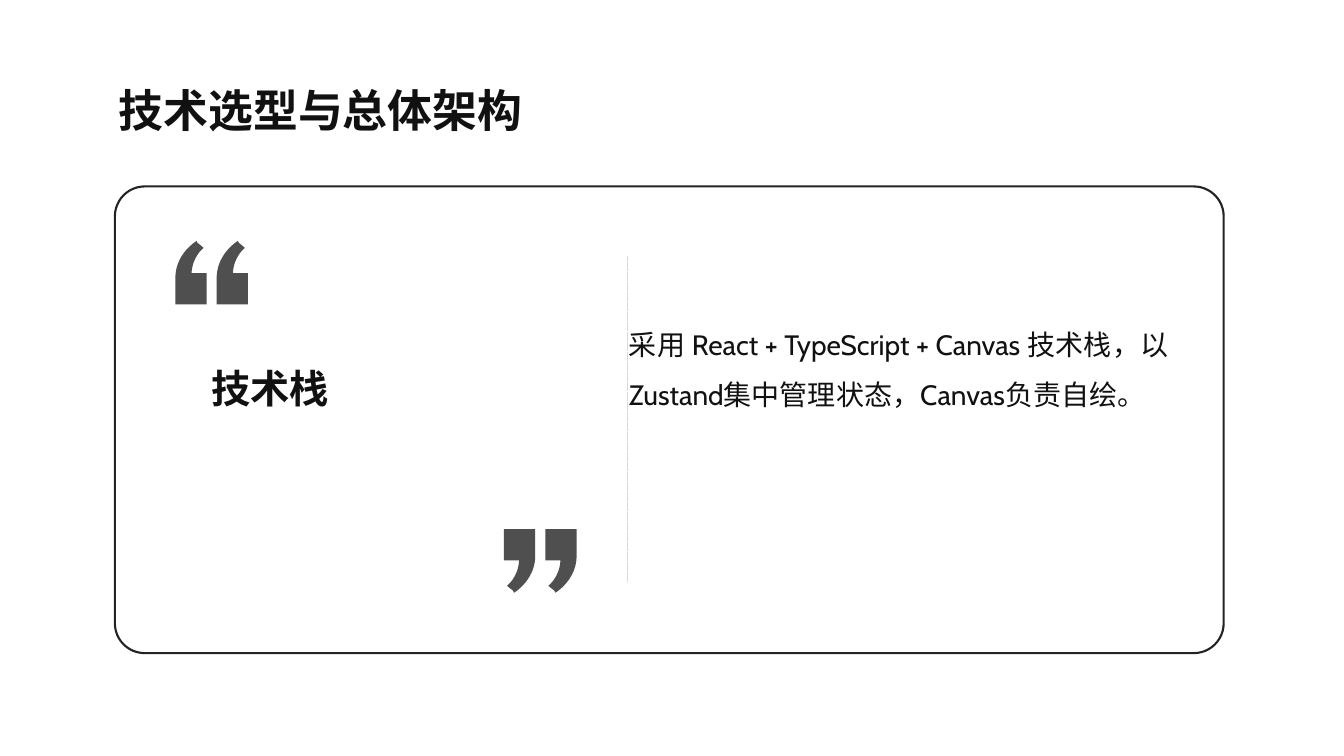
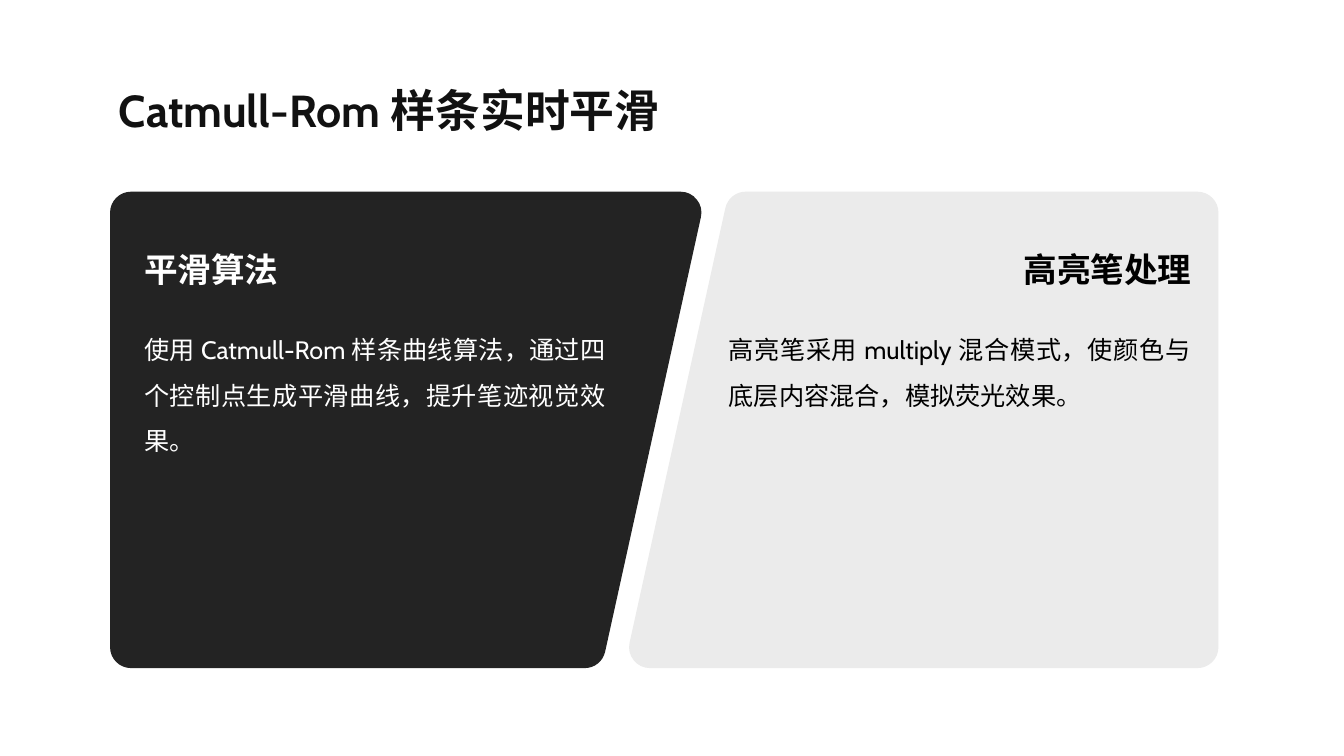
from lxml.etree import SubElement
from pptx import Presentation
from pptx.dml.color import RGBColor
from pptx.enum.dml import MSO_LINE
from pptx.enum.lang import MSO_LANGUAGE_ID as Language
from pptx.enum.shapes import MSO_CONNECTOR, MSO_SHAPE
from pptx.enum.text import MSO_ANCHOR as Anchor, MSO_AUTO_SIZE as AutoSize, PP_ALIGN as Align
from pptx.oxml.ns import qn
from pptx.util import Inches, Pt

COLORS = {
    "dark": "232323",
    "pale": "EBEBEB",
    "text": "111111",
    "white": "FFFFFF",
    "black": "000000",
    "divider": "D9D9D9",
}
FONT = "Cabin"
TITLE_BOX = (1.08, 0.77, 11.52, 0.54)
CARD_BOX = (1.14, 1.85, 11, 4.63)
PANEL_TOP, PANEL_HEIGHT = 2.11, 4.31
LEFT_PANEL = (1.3, PANEL_TOP, 5.45, PANEL_HEIGHT)
RIGHT_PANEL = (6.45, PANEL_TOP, 5.43, PANEL_HEIGHT)
SLANT = 0.95
QUOTE_STEP = 0.41
QUOTE_POINTS = [(0.21, 0), (0.22, 0.02), (0.27, 0.06), (0.28, 0.07), (0.16, 0.32),
                (0.31, 0.32), (0.31, 0.63), (0, 0.63), (0, 0.35), (0.21, 0)]
QUOTE_CURVES = {
    2: [(0.24, 0.03), (0.25, 0.05)],
    4: [(0.28, 0.07), (0.17, 0.15)],
    9: [(0.01, 0.12), (0.21, 0)],
}


def color(name):
    """Return the named colour."""
    return RGBColor.from_string(COLORS[name])


def add_text(slide, text, box, size=18, fill="text", bold=False, align=Align.JUSTIFY,
             anchor=Anchor.TOP, spacing=None, inset=True):
    """Add a wrapped text box with one formatted paragraph."""
    shape = slide.shapes.add_textbox(*map(Inches, box))
    frame = shape.text_frame
    frame.word_wrap = True
    frame.auto_size = AutoSize.SHAPE_TO_FIT_TEXT
    frame.vertical_anchor = anchor
    if not inset:
        frame.margin_left = frame.margin_right = frame.margin_top = frame.margin_bottom = 0
    paragraph = frame.paragraphs[0]
    paragraph.alignment = align
    if spacing:
        paragraph.line_spacing = spacing
    run = paragraph.add_run()
    run.text = text
    font = run.font
    font.size, font.bold, font.name = Pt(size), bold, FONT
    font.color.rgb = color(fill)
    font.language_id = Language.SIMPLIFIED_CHINESE
    SubElement(run._r.get_or_add_rPr(), qn("a:ea"), typeface=FONT)


def add_outline(slide, points, left, top, fill):
    """Add a closed filled outline whose points are relative to left and top."""
    placed = [(Inches(left + x), Inches(top + y)) for x, y in points]
    builder = slide.shapes.build_freeform(*placed[0], scale=1.0)
    builder.add_line_segments(placed[1:], close=True)
    shape = builder.convert_to_shape()
    shape.shadow.inherit = False
    shape.fill.solid()
    shape.fill.fore_color.rgb = color(fill)
    return shape


def bend_segments(shape, curves):
    """Turn the numbered straight segments of an outline into cubic curves."""
    segments = list(shape._element.iter(qn("a:lnTo")))
    for number, controls in curves.items():
        segment = segments[number - 1]
        segment.tag = qn("a:cubicBezTo")
        for index, (x, y) in enumerate(controls):
            point = SubElement(segment, qn("a:pt"), x=str(Inches(x)), y=str(Inches(y)))
            segment.insert(index, point)


def add_quote_pair(slide, left, top, rotation=0):
    """Add two translucent quotation marks side by side."""
    for index in range(2):
        mark = add_outline(slide, QUOTE_POINTS, left + index * QUOTE_STEP, top, "dark")
        bend_segments(mark, QUOTE_CURVES)
        mark.line.fill.background()
        mark.rotation = rotation
        fill_color = mark._element.spPr.find(qn("a:solidFill"))[0]
        SubElement(fill_color, qn("a:alpha"), val="80000")


def add_divider(slide, x, top, bottom):
    """Add a faint dashed vertical line."""
    connector = slide.shapes.add_connector(
        MSO_CONNECTOR.STRAIGHT, *map(Inches, (x, top, x, bottom)))
    connector.line.color.rgb = color("divider")
    connector.line.width = Pt(0.1)
    connector.line.dash_style = MSO_LINE.DASH
    SubElement(connector.line._get_or_add_ln(), qn("a:miter"), lim="800000")
    SubElement(connector._element.spPr, qn("a:effectLst"))


def add_quote_card(slide, box, heading, body):
    """Add an outlined card with a quoted heading and a paragraph beside it."""
    left, top, _, _ = box
    add_divider(slide, left + 5.08, top + 0.69, top + 3.93)
    add_quote_pair(slide, left + 3.86, top + 3.4, rotation=180)
    add_quote_pair(slide, left + 0.6, top + 0.54)
    card = slide.shapes.add_shape(MSO_SHAPE.ROUNDED_RECTANGLE, *map(Inches, box))
    card.adjustments[0] = 0.064
    card.shadow.inherit = False
    card.fill.background()
    card.line.color.rgb = color("dark")
    card.line.width = Pt(1.5)
    add_text(slide, heading, (left + 0.86, top + 1.67, 3.45, 0.56), size=28, bold=True,
             anchor=Anchor.MIDDLE, spacing=1.2)
    add_text(slide, body, (left + 5, top + 0.95, 5.55, 1.56), size=20,
             anchor=Anchor.MIDDLE, spacing=1.5)


def add_panel(slide, box, corners, fill):
    """Add a slanted panel whose thick round-joined outline softens its corners."""
    panel = add_outline(slide, corners, box[0], box[1], fill)
    panel.line.color.rgb = color(fill)
    panel.line.width = Pt(30)
    SubElement(panel.line._get_or_add_ln(), qn("a:round"))


def add_panel_heading(slide, text, left, top, fill, align):
    """Add the bold heading of a panel."""
    add_text(slide, text, (left, top + 0.36, 5.4, 0.4), size=24, fill=fill, bold=True,
             align=align, anchor=Anchor.BOTTOM, inset=False)


def add_panel_body(slide, text, left, top, fill, height):
    """Add the paragraph of a panel."""
    add_text(slide, text, (left, top + 1.06, 4.58, height), fill=fill, spacing=1.5,
             inset=False)


def add_panel_pair(slide, left_text, right_text):
    """Add a dark and a pale panel that meet along a slanted gap."""
    left, top, width, height = LEFT_PANEL
    right, _, right_width, _ = RIGHT_PANEL
    add_panel(slide, LEFT_PANEL,
              [(0, 0), (width, 0), (width - SLANT, height), (0, height)], "dark")
    add_panel(slide, RIGHT_PANEL,
              [(SLANT, 0), (right_width, 0), (right_width, height), (0, height)], "pale")
    add_panel_heading(slide, left_text[0], left + 0.13, top, "white", Align.JUSTIFY)
    add_panel_body(slide, left_text[1], left + 0.13, top, "white", 1.35)
    add_panel_heading(slide, right_text[0], right - 0.03, top, "black", Align.RIGHT)
    add_panel_body(slide, right_text[1], right + 0.78, top, "black", 0.9)


def add_titled_slide(presentation, title):
    """Add a blank white slide with the shared title style."""
    slide = presentation.slides.add_slide(presentation.slide_layouts[6])
    slide.background.fill.solid()
    slide.background.fill.fore_color.rgb = color("white")
    add_text(slide, title, TITLE_BOX, size=32, bold=True)
    return slide


def main():
    """Build and save the presentation."""
    presentation = Presentation()
    presentation.slide_width, presentation.slide_height = Inches(40 / 3), Inches(7.5)
    slide = add_titled_slide(presentation, "技术选型与总体架构")
    add_quote_card(
        slide, CARD_BOX, "技术栈",
        "采用 React + TypeScript + Canvas 技术栈，以Zustand集中管理状态，Canvas负责自绘。")
    slide = add_titled_slide(presentation, "Catmull-Rom 样条实时平滑")
    add_panel_pair(
        slide,
        ("平滑算法",
         "使用 Catmull-Rom 样条曲线算法，通过四个控制点生成平滑曲线，提升笔迹视觉效果。"),
        ("高亮笔处理",
         "高亮笔采用 multiply 混合模式，使颜色与底层内容混合，模拟荧光效果。"))
    presentation.save("out.pptx")


if __name__ == "__main__":
    main()
